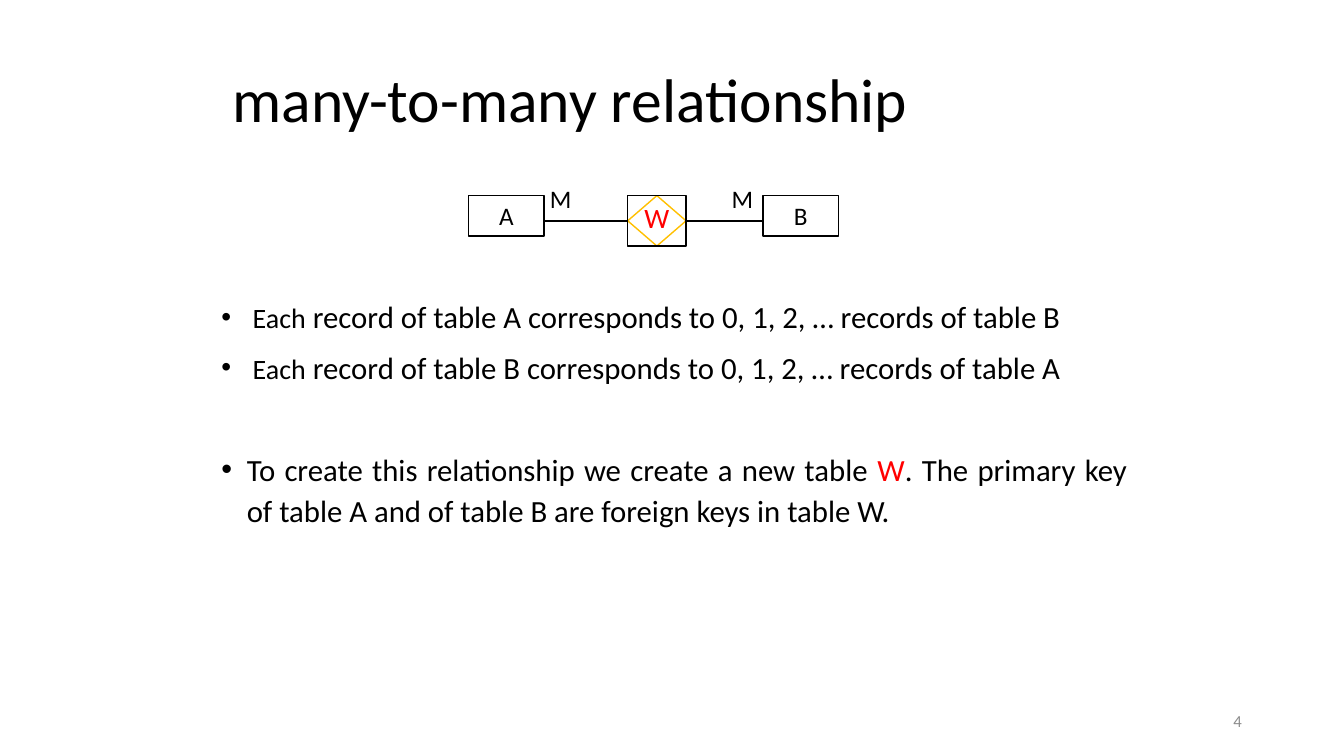
from lxml import etree
from pptx import Presentation
from pptx import util as u
from pptx.dml.color import RGBColor
from pptx.enum import shapes, text
from pptx.oxml import ns

COLORS = {
    "ink": "000000",
    "paper": "FFFFFF",
    "accent": "FF0000",
    "diamond": "FFC000",
    "number": "8C8C8C",
}
FONT = "Calibri"
ALIGN = text.PP_ALIGN
ANCHOR = text.MSO_ANCHOR


def color(name):
    return RGBColor.from_string(COLORS[name])


def format_run(run, size, ink="ink"):
    run.font.name = FONT
    run.font.size = u.Pt(size)
    run.font.color.rgb = color(ink)


def write(shape, words, size, ink="ink", align=ALIGN.LEFT, anchor=ANCHOR.TOP):
    """Put one formatted line of words into a shape."""
    frame = shape.text_frame
    frame.text = words
    frame.word_wrap = True
    frame.vertical_anchor = anchor
    line = frame.paragraphs[0]
    line.alignment = align
    format_run(line.runs[0], size, ink)
    return line


def add_label(slide, box, words, size, **style):
    label = slide.shapes.add_textbox(*map(u.Cm, box))
    write(label, words, size, **style)


def add_outline(slide, kind, box, line="ink", filled=True):
    outline = slide.shapes.add_shape(kind, *map(u.Cm, box))
    outline.shadow.inherit = False
    if filled:
        outline.fill.solid()
        outline.fill.fore_color.rgb = color("paper")
    else:
        outline.fill.background()
    outline.line.color.rgb = color(line)
    outline.line.width = u.Pt(1)
    return outline


def add_title(slide, box):
    title = slide.shapes.title
    title.left, title.top, title.width, title.height = map(u.Cm, box)
    heading = write(title, "many-to-many relationship", 44, anchor=ANCHOR.MIDDLE)
    heading.line_spacing = 0.9


def add_diagram(slide, box):
    """Entities A and B joined through the relationship W."""
    left, top, width, height = box
    entity_width, entity_height = 1.9, 1.02
    join_left, join_width = left + 4.01, 1.47
    right = left + width
    middle = top + height / 2
    rectangle = shapes.MSO_SHAPE.RECTANGLE

    for name, x in (("A", left), ("B", right - entity_width)):
        entity = add_outline(slide, rectangle, (x, top, entity_width, entity_height))
        write(entity, name, 18, align=ALIGN.CENTER)

    link = slide.shapes.add_connector(
        shapes.MSO_CONNECTOR.STRAIGHT,
        u.Cm(left + entity_width), u.Cm(middle),
        u.Cm(right - entity_width), u.Cm(middle))
    link.line.color.rgb = color("ink")
    link.line.width = u.Pt(1)
    etree.SubElement(link._element.spPr, ns.qn("a:effectLst"))

    join_box = (join_left, top, join_width, height)
    add_outline(slide, shapes.MSO_SHAPE.DIAMOND, join_box, line="diamond")
    frame = add_outline(slide, rectangle, join_box, filled=False)
    write(frame, "W", 20, ink="accent", align=ALIGN.CENTER)

    for x in (left + 1.8, left + 6.38):
        add_label(slide, (x, top - 0.43, 1.1, 1.02), "M", 18)


def add_bullet(paragraph, indent):
    properties = paragraph._p.get_or_add_pPr()
    properties.set("marL", str(u.Cm(indent)))
    properties.set("indent", str(-u.Cm(indent)))
    etree.SubElement(properties, ns.qn("a:buFont"), typeface="Arial")
    etree.SubElement(properties, ns.qn("a:buChar"), char="•")


def add_explanation(slide, box):
    # Each point: indent in cm, space before in points, runs of (words, size, color)
    points = [
        (0.79, 5, [("Each", 20, "ink"),
                   (f" record of table {one} corresponds to 0, 1, 2, … "
                    f"records of table {other}", 22, "ink")])
        for one, other in ("AB", "BA")
    ]
    points.append((0.64, 42, [
        ("To create this relationship we create a new table ", 22, "ink"),
        ("W", 22, "accent"),
        (". The primary key of table A and of table B are foreign keys "
         "in table W.", 22, "ink"),
    ]))

    frame = slide.shapes.add_textbox(*map(u.Cm, box)).text_frame
    frame.word_wrap = True
    for number, (indent, before, parts) in enumerate(points):
        point = frame.add_paragraph() if number else frame.paragraphs[0]
        point.alignment = ALIGN.JUSTIFY
        point.line_spacing = 1.1
        point.space_before = u.Pt(before)
        point.space_after = u.Pt(2)
        add_bullet(point, indent)
        for words, size, ink in parts:
            run = point.add_run()
            run.text = words
            format_run(run, size, ink)


def main():
    deck = Presentation()
    deck.slide_width, deck.slide_height = u.Cm(33.87), u.Cm(19.05)
    slide = deck.slides.add_slide(deck.slide_layouts.get_by_name("Title Only"))
    add_title(slide, (5.61, 1.22, 22.45, 2.72))
    add_explanation(slide, (5.33, 7.29, 23.32, 9.6))
    add_label(slide, (23.93, 17.65, 7.62, 1.02), "4", 12, ink="number",
              align=ALIGN.RIGHT, anchor=ANCHOR.MIDDLE)
    add_diagram(slide, (11.81, 4.93, 9.32, 1.27))
    deck.save("out.pptx")


if __name__ == "__main__":
    main()
